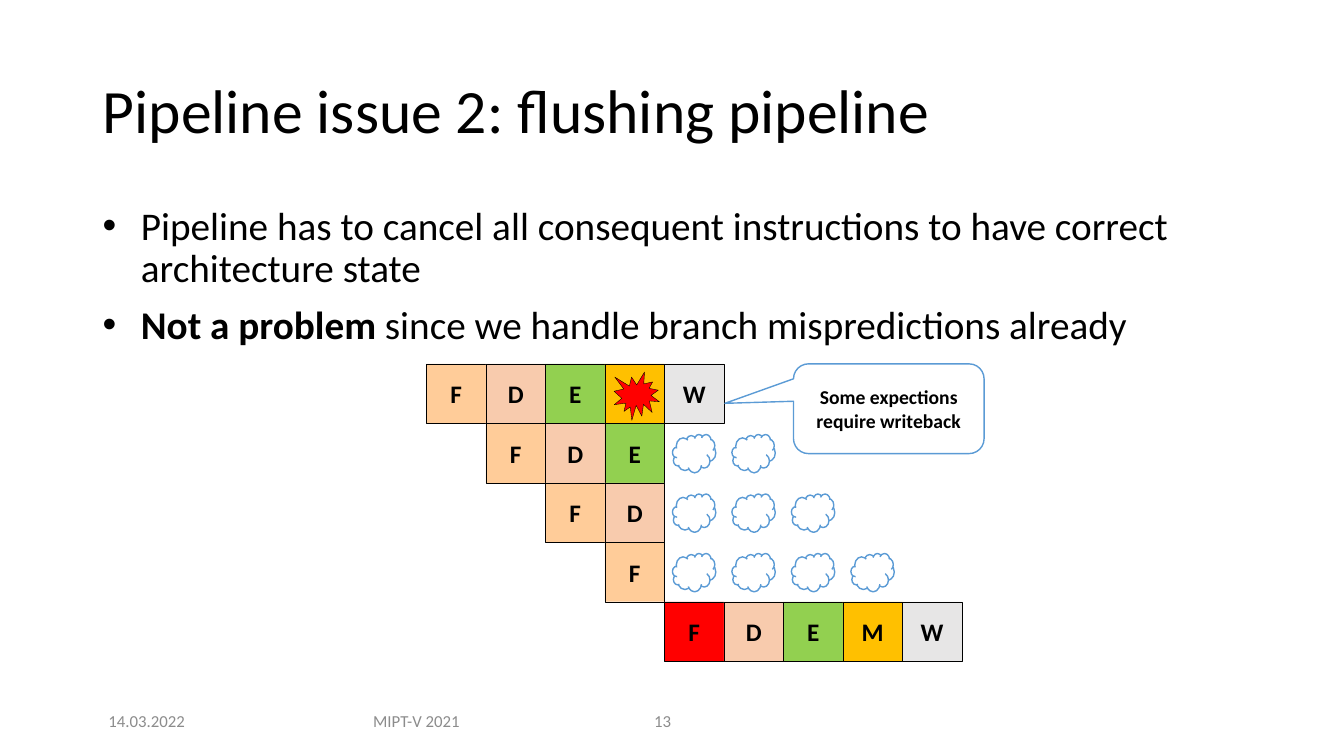
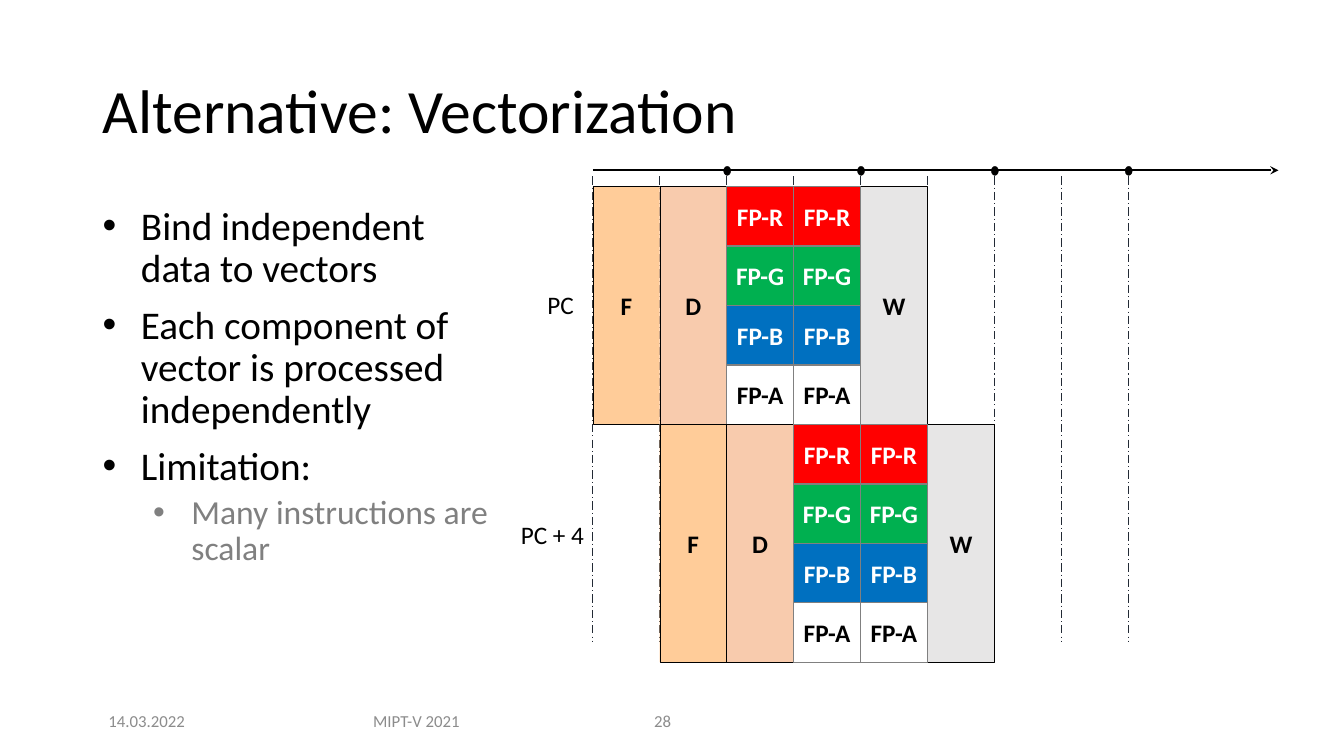
from lxml.etree import SubElement
from pptx import Presentation
from pptx.dml.color import RGBColor
from pptx.enum.dml import MSO_LINE
from pptx.enum.shapes import MSO_CONNECTOR, MSO_SHAPE as SHAPE
from pptx.enum.text import MSO_ANCHOR as ANCHOR, PP_ALIGN as ALIGN
from pptx.oxml.ns import qn
from pptx.util import Inches, Pt

FONT = "Calibri"
COLORS = {
    "black": "000000", "white": "FFFFFF", "gray": "808080", "footer": "8C8C8C",
    "grid": "222A35", "outline": "5B9BD5", "red": "FF0000", "green": "00B050",
    "blue": "0070C0", "F": "FFCC99", "D": "F8CBAD", "E": "92D050",
    "M": "FFC000", "W": "E7E6E6",
}
COLORS = {key: RGBColor.from_string(value) for key, value in COLORS.items()}


def write(paragraph, text, size, color="black", bold=False, align=ALIGN.LEFT):
    paragraph.alignment = align
    run = paragraph.add_run()
    run.text = text
    run.font.name = FONT
    run.font.size = Pt(size)
    run.font.bold = bold
    run.font.color.rgb = COLORS[color]


def draw(slide, kind, at, fill, line="black", width=0.25, label="",
         label_color="black", size=18, wrap=False):
    shape = slide.shapes.add_shape(kind, *map(Inches, at))
    shape.shadow.inherit = False
    shape.fill.solid()
    shape.fill.fore_color.rgb = COLORS[fill]
    shape.line.color.rgb = COLORS[line]
    shape.line.width = Pt(width)
    if label:
        shape.text_frame.word_wrap = wrap
        shape.text_frame.vertical_anchor = ANCHOR.MIDDLE
        write(shape.text_frame.paragraphs[0], label, size, label_color, True, ALIGN.CENTER)
    return shape


prs = Presentation()
prs.slide_width, prs.slide_height = Inches(13.33), Inches(7.5)

# Title, page number, bullet width, bullets as (level, runs of (text, bold))
topics = [
    ("Pipeline issue 2: flushing pipeline", "13", 11.5, [
        (0, [("Pipeline has to cancel all consequent instructions to have correct "
              "architecture state", False)]),
        (0, [("Not a problem ", True),
             ("since we handle branch mispredictions already", False)]),
    ]),
    ("Alternative: Vectorization", "28", 4.03, [
        (0, [("Bind independent data to vectors", False)]),
        (0, [("Each component of vector is processed independently", False)]),
        (0, [("Limitation:", False)]),
        (1, [("Many instructions are scalar", False)]),
    ]),
]
# Size, color, space before and indent of each bullet level
levels = [(28, "black", 10, 0.38), (24, "gray", 5, 0.88)]

slides = []
for heading, page, bullet_width, bullets in topics:
    slide = prs.slides.add_slide(prs.slide_layouts[5])
    slides.append(slide)

    # Title
    title = slide.shapes.title
    title.left, title.top = Inches(0.92), Inches(0.4)
    title.width, title.height = Inches(11.5), Inches(1.45)
    title.text_frame.vertical_anchor = ANCHOR.MIDDLE
    title.text_frame.paragraphs[0].line_spacing = 0.9
    write(title.text_frame.paragraphs[0], heading, 44)

    # Bullets
    body = slide.shapes.add_textbox(
        Inches(0.92), Inches(2), Inches(bullet_width), Inches(4.52)).text_frame
    body.word_wrap = True
    for index, (level, runs) in enumerate(bullets):
        size, color, space, indent = levels[level]
        paragraph = body.add_paragraph() if index else body.paragraphs[0]
        paragraph.level = level
        paragraph.line_spacing = 0.9
        paragraph.space_before = Pt(space if index else 0)
        properties = paragraph._p.get_or_add_pPr()
        properties.set("marL", str(Inches(indent)))
        properties.set("indent", str(-Inches(0.38)))
        SubElement(properties, qn("a:buFont"), typeface="Arial")
        SubElement(properties, qn("a:buChar"), char="•")
        for text, bold in runs:
            write(paragraph, text, size, color, bold)

    # Footer
    for text, left, width, align in [
        ("14.03.2022", 0.92, 1.07, ALIGN.CENTER),
        ("MIPT-V 2021", 3.34, 1.58, ALIGN.CENTER),
        (page, 6.39, 0.79, ALIGN.LEFT),
    ]:
        footer = slide.shapes.add_textbox(
            Inches(left), Inches(6.95), Inches(width), Inches(0.4)).text_frame
        footer.word_wrap = True
        footer.vertical_anchor = ANCHOR.MIDDLE
        write(footer.paragraphs[0], text, 12, "footer", align=align)

flushing, vectors = slides
CELL = 0.59

# Flushed pipeline: each instruction starts one cycle later
pipe_left, pipe_top = 4.23, 3.61
fault, restart = (0, 3), (4, 4)
for row, stages in enumerate(["FDEMW", "FDE", "FD", "F", "FDEMW"]):
    for column, stage in enumerate(stages, row):
        cell = (row, column)
        draw(flushing, SHAPE.RECTANGLE,
             (pipe_left + column * CELL, pipe_top + row * CELL, CELL, CELL),
             "red" if cell == restart else stage, label="" if cell == fault else stage)
draw(flushing, SHAPE.EXPLOSION1, (6.09, 3.69, 0.45, 0.48), "red")

# Bubbles in place of the cancelled stages
for row in range(1, 4):
    for column in range(4, 5 + row):
        draw(flushing, SHAPE.CLOUD,
             (pipe_left + column * CELL + 0.08, pipe_top + row * CELL + 0.11, 0.43, 0.38),
             "white", "outline", 1)

callout = draw(flushing, SHAPE.ROUNDED_RECTANGULAR_CALLOUT, (7.87, 3.61, 1.89, 0.89),
               "white", "outline", 1, "Some expections require writeback", size=14, wrap=True)
callout.adjustments[0], callout.adjustments[1] = -0.86, -0.06

# Time axis and cycle grid
axis_left, axis_y, cycles = 5.88, 1.69, 8
cycle = (11.19 - axis_left) / cycles
ticks = [axis_left + index * cycle for index in range(cycles + 1)]
strokes = [(axis_left, axis_y, 12.68, axis_y, True)]
strokes += [(x, 1.75, x, 6.37, False) for x in ticks]
for x1, y1, x2, y2, is_axis in strokes:
    stroke = vectors.shapes.add_connector(
        MSO_CONNECTOR.STRAIGHT, Inches(x1), Inches(y1), Inches(x2), Inches(y2))
    SubElement(stroke._element.spPr, qn("a:effectLst"))
    stroke.line.color.rgb = COLORS["black" if is_axis else "grid"]
    stroke.line.width = Pt(1.5 if is_axis else 0.75)
    if is_axis:
        SubElement(stroke.line._get_or_add_ln(), qn("a:tailEnd"), type="stealth")
    else:
        stroke.line.dash_style = MSO_LINE.LONG_DASH_DOT
for x in ticks[2::2]:
    draw(vectors, SHAPE.OVAL, (x - 0.03, axis_y - 0.04, 0.07, 0.09), "black")

# Vector instructions: scalar stages around two cycles of four lanes
lanes = [("FP-R", "red", "white"), ("FP-G", "green", "white"),
         ("FP-B", "blue", "white"), ("FP-A", "white", "black")]
height = CELL * len(lanes)
for row, (counter, label_left, label_top, label_width) in enumerate([
    ("PC", 5.15, 2.82, 0.64),
    ("PC + 4", 4.84, 5.1, 1.05),
]):
    top = 1.85 + row * height
    for stage, column in [("F", 0), ("D", 1), ("W", 4)]:
        draw(vectors, SHAPE.RECTANGLE, (ticks[row + column], top, cycle, height),
             stage, label=stage)
    for lane, (name, fill, color) in enumerate(lanes):
        for column in (2, 3):
            draw(vectors, SHAPE.RECTANGLE,
                 (ticks[row + column], top + lane * CELL, cycle, CELL),
                 fill, "gray", 1, name, color)
    label = vectors.shapes.add_textbox(
        Inches(label_left), Inches(label_top), Inches(label_width), Inches(0.4)).text_frame
    label.word_wrap = True
    label.vertical_anchor = ANCHOR.MIDDLE
    write(label.paragraphs[0], counter, 18, align=ALIGN.RIGHT)

prs.save("out.pptx")
